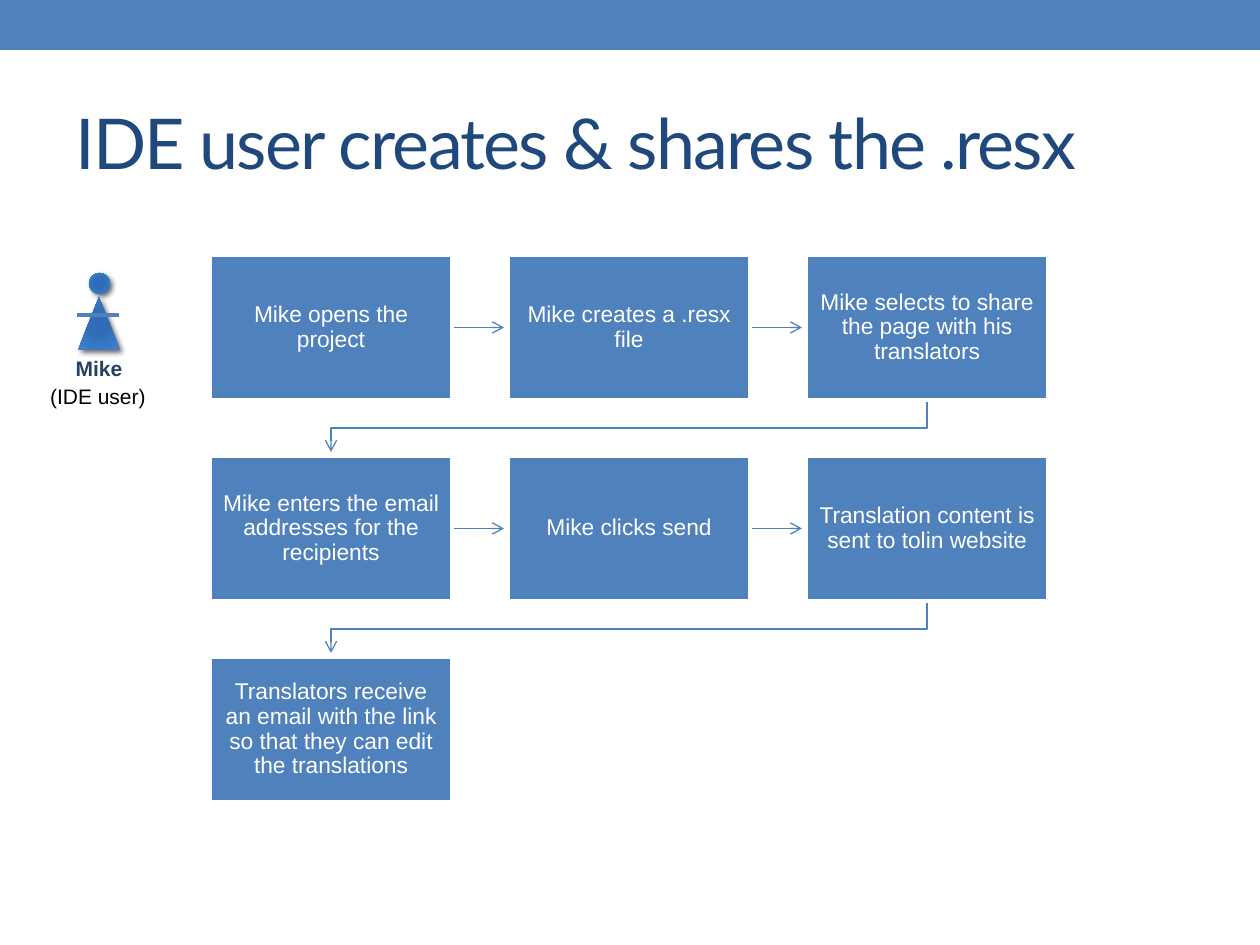
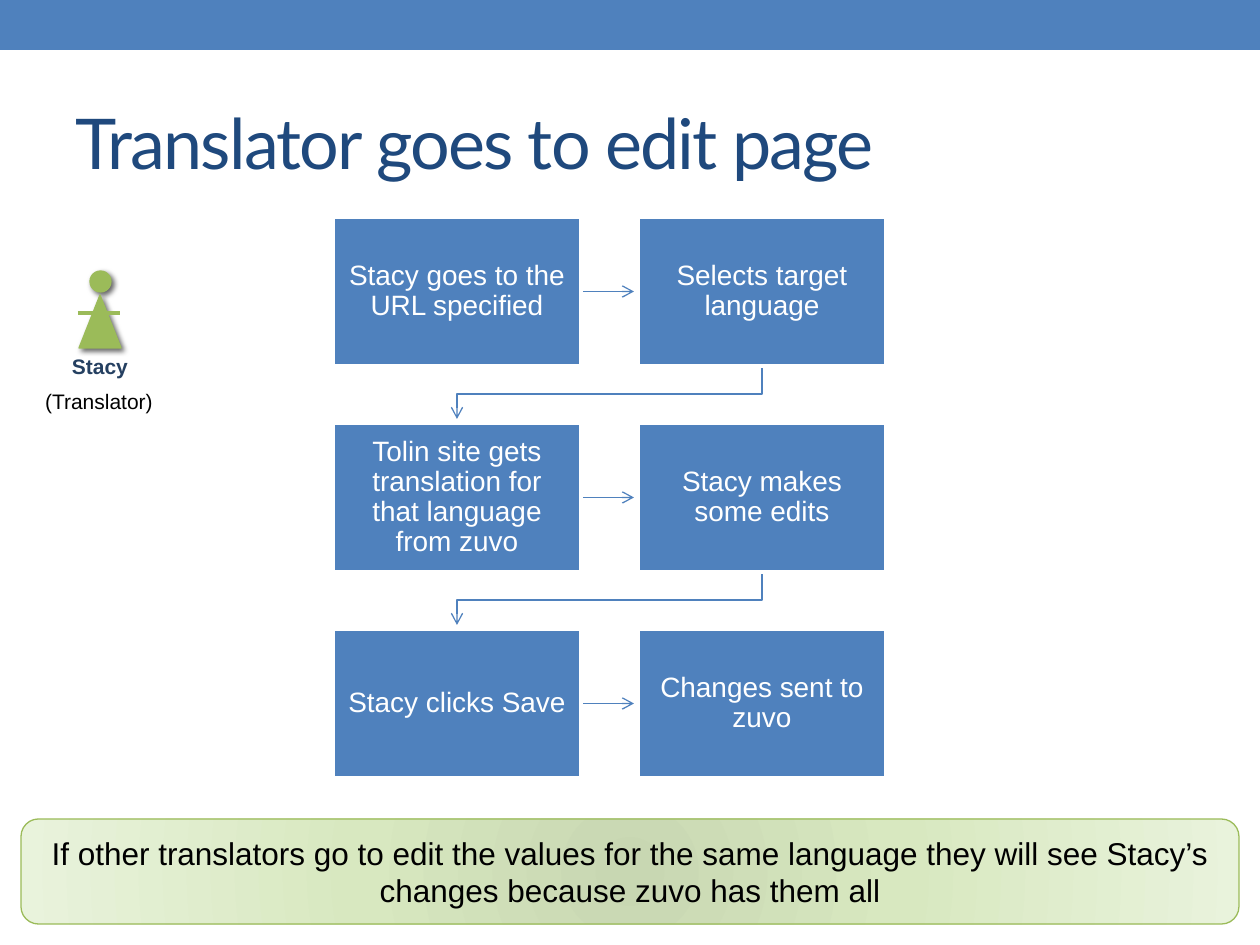
from lxml.etree import SubElement
from pptx import Presentation
from pptx.dml.color import RGBColor
from pptx.enum.shapes import MSO_CONNECTOR, MSO_SHAPE
from pptx.enum.text import MSO_ANCHOR, PP_ALIGN
from pptx.oxml import parse_xml
from pptx.oxml.ns import nsdecls, qn
from pptx.util import Inches, Pt

# Colours
BLUE = RGBColor(0x4F, 0x81, 0xBD)
NAVY = RGBColor(0x1F, 0x49, 0x7D)
DARK = RGBColor(0x25, 0x40, 0x61)
GREEN = RGBColor(0x9B, 0xBB, 0x59)
WHITE = RGBColor(0xFF, 0xFF, 0xFF)
BLACK = RGBColor(0x00, 0x00, 0x00)
BLUES = [(0, "2C6CB9"), (34, "316DB5"), (70, "3679CA"), (100, "4F81BD")]
GREENS = [(0, "C8D7B2"), (45, "D8E8C0"), (100, "E9F3DC")]

# Content; grids and places are in px
SLIDES = [
    {
        "title": "IDE user creates & shares the .resx",
        "steps": [
            "Mike opens the project",
            "Mike creates a .resx file",
            "Mike selects to share the page with his translators",
            "Mike enters the email addresses for the recipients",
            "Mike clicks send",
            "Translation content is sent to tolin website",
            "Translators receive an email with the link so that they can edit "
            "the translations",
        ],
        "grid": {"cols": 3, "left": 210, "top": 255, "wide": 242, "high": 145,
                 "dx": 298, "dy": 201, "size": 13, "inset": 13},
        "actor": {"name": "Mike", "role": "(IDE user)", "left": 77, "top": 273,
                  "drop": 104, "color": BLUE, "stops": BLUES},
        "note": None,
    },
    {
        "title": "Translator goes to edit page",
        "steps": [
            "Stacy goes to the URL specified",
            "Selects target language",
            "Tolin site gets translation for that language from zuvo",
            "Stacy makes some edits",
            "Stacy clicks Save",
            "Changes sent to zuvo",
        ],
        "grid": {"cols": 2, "left": 333, "top": 217, "wide": 248, "high": 149,
                 "dx": 305, "dy": 206, "size": 16, "inset": 15},
        "actor": {"name": "Stacy", "role": "(Translator)", "left": 78, "top": 271,
                  "drop": 111, "color": GREEN, "stops": None},
        "note": "If other translators go to edit the values for the same language "
                "they will see Stacy’s changes because zuvo has them all",
    },
]

SCALE = Inches(10) / 1260


def px(*nums):
    return [round(num * SCALE) for num in nums]


# Shared helpers
def style(frame, text, size, color, font="Arial", bold=False, align=PP_ALIGN.CENTER):
    frame.text = text
    para = frame.paragraphs[0]
    para.alignment = align
    run = para.runs[0]
    run.font.name, run.font.size, run.font.bold = font, Pt(size), bold
    run.font.color.rgb = color
    return run


def shape(slide, kind, place, fill, line=None, width=0.75):
    item = slide.shapes.add_shape(kind, *px(*place))
    item.shadow.inherit = False
    item.fill.solid()
    item.fill.fore_color.rgb = fill
    if line is None:
        item.line.fill.background()
    else:
        item.line.color.rgb = line
        item.line.width = Pt(width)
    return item


def blend(item, stops):
    marks = "".join(f'<a:gs pos="{pos * 1000}"><a:srgbClr val="{hue}"/></a:gs>'
                    for pos, hue in stops)
    grad = parse_xml(
        f'<a:gradFill {nsdecls("a")} rotWithShape="1"><a:gsLst>{marks}</a:gsLst>'
        '<a:path path="circle"><a:fillToRect l="100000" t="100000" r="100000" '
        'b="100000"/></a:path></a:gradFill>')
    props = item.element.spPr
    props.replace(props.find(qn("a:solidFill")), grad)


def shade(item):
    item.element.spPr.find(qn("a:effectLst")).append(parse_xml(
        f'<a:outerShdw {nsdecls("a")} blurRad="38100" dist="25400" dir="2700000">'
        '<a:srgbClr val="000000"><a:alpha val="60000"/></a:srgbClr></a:outerShdw>'))


def stroke(item, color, width, arrow=False):
    item.line.color.rgb = color
    item.line.width = Pt(width)
    props = item.element.spPr
    if arrow:
        SubElement(props.find(qn("a:ln")), qn("a:tailEnd"), type="arrow")
    SubElement(props, qn("a:effectLst"))


def label(slide, text, mid, top, color, bold=False):
    box = slide.shapes.add_textbox(*px(mid - 70, top, 140, 38))
    box.text_frame.word_wrap = False
    style(box.text_frame, text, 12, color, bold=bold)


# Parts of a slide
def add_title(slide, text):
    title = slide.shapes.title
    title.left, title.top, title.width, title.height = px(63, 73, 1134, 136)
    title.text_frame.vertical_anchor = MSO_ANCHOR.MIDDLE
    run = style(title.text_frame, text, 40, NAVY, "Lato", align=PP_ALIGN.LEFT)
    run.font._element.set("spc", "-100")


def add_flow(slide, steps, grid):
    cols, wide, high = grid["cols"], grid["wide"], grid["high"]
    spots = [(grid["left"] + i % cols * grid["dx"], grid["top"] + i // cols * grid["dy"])
             for i in range(len(steps))]
    boxes = []
    for text, (left, top) in zip(steps, spots):
        box = shape(slide, MSO_SHAPE.RECTANGLE, (left, top, wide, high), BLUE, WHITE, 2.08)
        frame = box.text_frame
        frame.word_wrap = True
        frame.vertical_anchor = MSO_ANCHOR.MIDDLE
        inset, = px(grid["inset"])
        frame.margin_left = frame.margin_right = inset
        frame.margin_top = frame.margin_bottom = inset
        style(frame, text, grid["size"], WHITE)
        frame.paragraphs[0].line_spacing = 0.9
        boxes.append(box)

    # Links stop 4 px short of the next box and lie behind the boxes
    for box, (left, top), (to_x, to_y) in zip(boxes, spots, spots[1:]):
        if top == to_y:
            mid = top + high / 2
            link = slide.shapes.add_connector(
                MSO_CONNECTOR.STRAIGHT, *px(left + wide, mid, to_x - 4, mid))
            link.begin_connect(box, 3)
        else:
            start, end, base = left + wide / 2, to_x + wide / 2, top + high
            turn = (base + to_y) // 2
            path = slide.shapes.build_freeform(*px(start, base), scale=1.0)
            path.add_line_segments(
                [px(start, turn), px(end, turn), px(end, to_y - 4)], close=False)
            link = path.convert_to_shape()
            link.fill.background()
        stroke(link, BLUE, 0.75, arrow=True)
        slide.shapes.element.insert(2, link.element)


def add_actor(slide, actor):
    left, top, color = actor["left"], actor["top"], actor["color"]
    edge = None if actor["stops"] else color
    for kind, place in ((MSO_SHAPE.OVAL, (left + 12, top, 21, 21)),
                        (MSO_SHAPE.ISOSCELES_TRIANGLE, (left + 1, top + 24, 42, 53))):
        part = shape(slide, kind, place, color, edge)
        shade(part)
        if actor["stops"]:
            blend(part, actor["stops"])
    arms = slide.shapes.add_connector(
        MSO_CONNECTOR.STRAIGHT, *px(left, top + 42, left + 42, top + 42))
    stroke(arms, color, 2.25)
    label(slide, actor["name"], left + 22, top + 76, DARK, bold=True)
    label(slide, actor["role"], left + 21, top + actor["drop"], BLACK)


def add_note(slide, text):
    note = shape(slide, MSO_SHAPE.ROUNDED_RECTANGLE, (21, 819, 1218, 105), GREEN, GREEN)
    blend(note, GREENS)
    note.text_frame.word_wrap = True
    note.text_frame.vertical_anchor = MSO_ANCHOR.MIDDLE
    style(note.text_frame, text, 18, BLACK)


def main():
    deck = Presentation()
    deck.slide_width, deck.slide_height = Inches(10), Inches(7.5)
    for data in SLIDES:
        slide = deck.slides.add_slide(deck.slide_layouts[5])
        add_title(slide, data["title"])
        add_flow(slide, data["steps"], data["grid"])
        add_actor(slide, data["actor"])
        if data["note"]:
            add_note(slide, data["note"])

    # The top band belongs to the master
    band = shape(deck.slides[0], MSO_SHAPE.RECTANGLE, (0, 0, 1260, 50), BLUE)
    deck.slide_master.shapes.element.insert(2, band.element)
    deck.save("out.pptx")


if __name__ == "__main__":
    main()
